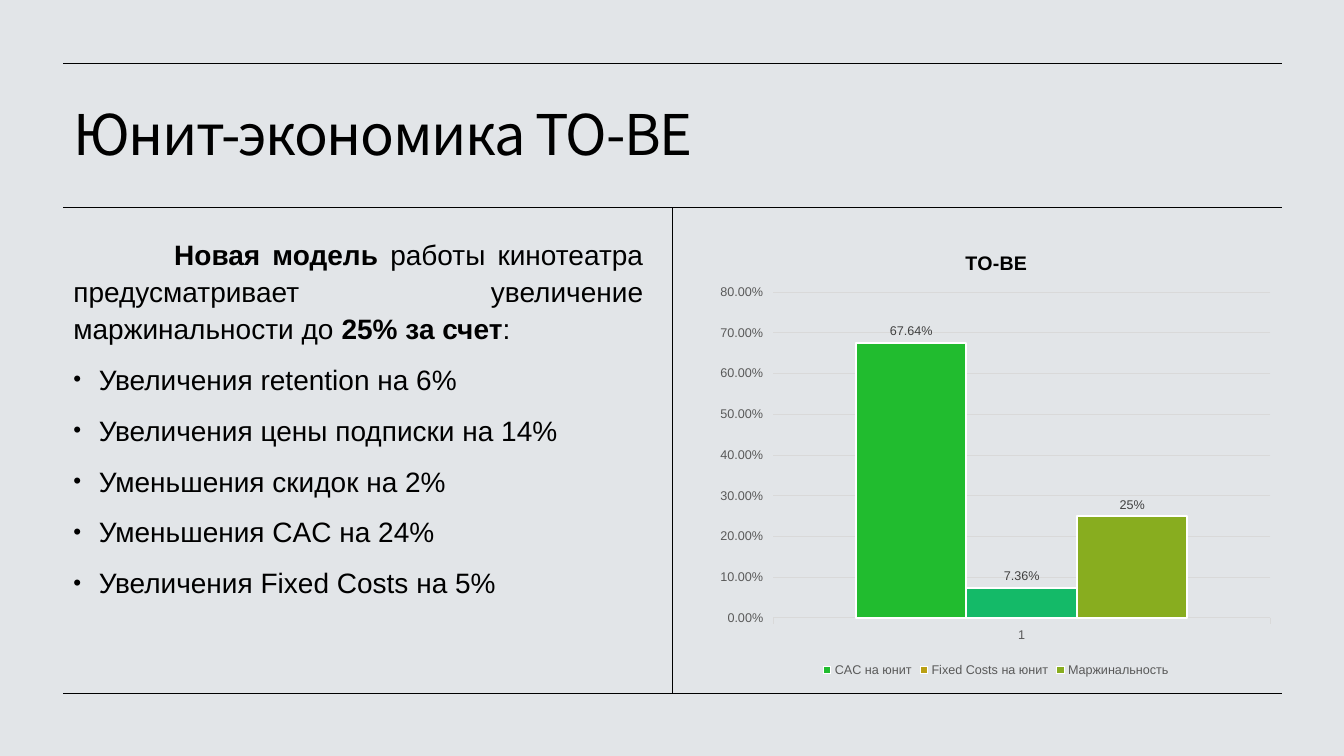
from lxml import etree
from pptx import Presentation
from pptx.chart.data import CategoryChartData
from pptx.dml.color import RGBColor
from pptx.enum.chart import XL_CHART_TYPE, XL_LABEL_POSITION, XL_LEGEND_POSITION, XL_TICK_MARK
from pptx.enum.shapes import MSO_CONNECTOR
from pptx.enum.text import MSO_ANCHOR, PP_ALIGN
from pptx.oxml.ns import qn
from pptx.util import Cm, Pt

COLUMNS = XL_CHART_TYPE.COLUMN_CLUSTERED
OUTSIDE_END = XL_LABEL_POSITION.OUTSIDE_END
BOTTOM = XL_LEGEND_POSITION.BOTTOM
TICK_OUT = XL_TICK_MARK.OUTSIDE
STRAIGHT = MSO_CONNECTOR.STRAIGHT
MIDDLE = MSO_ANCHOR.MIDDLE
LEFT, JUSTIFY = PP_ALIGN.LEFT, PP_ALIGN.JUSTIFY

COLORS = {
    "background": "E2E5E8", "text": "000000", "axis": "595959", "label": "404040",
    "grid": "D9D9D9", "edge": "FFFFFF", "cac": "21BC2F", "costs": "BAA014",
    "costs_column": "14BA68", "margin": "88AD1F",
}
HEAD_FONT, BODY_FONT = "Noto Sans CJK KR", "Arial"
INTRO = [
    ("Новая модель ", True),
    ("работы кинотеатра предусматривает увеличение маржинальности до ", False),
    ("25% за счет", True),
    (":", False),
]
MEASURES = [
    "Увеличения retention на 6%",
    "Увеличения цены подписки на 14%",
    "Уменьшения скидок на 2%",
    "Уменьшения CAC на 24%",
    "Увеличения Fixed Costs на 5%",
]
SERIES = [
    ("CAC на юнит", 0.6764, "cac", "cac", "0.00%"),
    ("Fixed Costs на юнит", 0.0736, "costs", "costs_column", "0.00%"),
    ("Маржинальность", 0.25, "margin", "margin", "0%"),
]


def rgb(name):
    """Return the named colour."""
    return RGBColor.from_string(COLORS[name])


def set_font(font, size, color="text", name=BODY_FONT, bold=False):
    """Format a font."""
    font.size, font.name, font.bold = Pt(size), name, bold
    font.color.rgb = rgb(color)


def add_rules(slide, left, top, right, bottom, header, middle):
    """Draw the frame lines and the divider between the columns."""
    ends = [(left, y, right, y) for y in (top, header, bottom)]
    for x1, y1, x2, y2 in ends + [(middle, header, middle, bottom)]:
        line = slide.shapes.add_connector(STRAIGHT, Cm(x1), Cm(y1), Cm(x2), Cm(y2))
        line.line.color.rgb = rgb("text")
        line.line.width = Pt(0.5)
        etree.SubElement(line._element.spPr, qn("a:effectLst"))


def add_title(slide, left, top, width, height):
    """Place and format the slide title."""
    sp = slide.shapes.title
    sp.left, sp.top, sp.width, sp.height = Cm(left), Cm(top), Cm(width), Cm(height)
    tf = sp.text_frame
    tf.word_wrap, tf.vertical_anchor = True, MIDDLE
    p = tf.paragraphs[0]
    p.alignment, p.line_spacing = LEFT, 0.9
    r = p.add_run()
    r.text = "Юнит-экономика TO-BE"
    set_font(r.font, 40, name=HEAD_FONT)
    r.font._element.set("spc", "-100")


def add_paragraph(p, runs, margin, indent):
    """Fill a justified paragraph and return its properties."""
    p.alignment, p.line_spacing, p.space_before = JUSTIFY, 1.1, Pt(10)
    for text, bold in runs:
        r = p.add_run()
        r.text = text
        set_font(r.font, 20, bold=bold)
    pPr = p._p.get_or_add_pPr()
    pPr.set("marL", str(Cm(margin)))
    pPr.set("indent", str(Cm(indent)))
    return pPr


def add_body(slide, left, top, width, height):
    """Write the introduction and the bulleted measures."""
    tf = slide.shapes.add_textbox(Cm(left), Cm(top), Cm(width), Cm(height)).text_frame
    tf.word_wrap = True
    add_paragraph(tf.paragraphs[0], INTRO, 0, 2.54)
    for measure in MEASURES:
        pPr = add_paragraph(tf.add_paragraph(), [(measure, False)], 0.64, -0.64)
        etree.SubElement(pPr, qn("a:buSzPct"), val="80000")
        etree.SubElement(pPr, qn("a:buFont"), typeface=BODY_FONT)
        etree.SubElement(pPr, qn("a:buChar"), char="•")


def set_layout(parent, index, **fractions):
    """Fix the place of a chart part as fractions of the chart."""
    for old in parent.findall(qn("c:layout")):
        parent.remove(old)
    layout = etree.Element(qn("c:layout"))
    manual = etree.SubElement(layout, qn("c:manualLayout"))
    if "w" in fractions:
        etree.SubElement(manual, qn("c:layoutTarget"), val="inner")
    for key in "xy":
        etree.SubElement(manual, qn(f"c:{key}Mode"), val="edge")
    for key, value in fractions.items():
        etree.SubElement(manual, qn(f"c:{key}"), val=str(value))
    parent.insert(index, layout)


def paint(fmt, color):
    """Fill a column and outline it."""
    fmt.fill.solid()
    fmt.fill.fore_color.rgb = rgb(color)
    fmt.line.color.rgb = rgb("edge")
    fmt.line.width = Pt(1.5)


def format_axes(chart):
    """Style both axes and the gridlines."""
    cat, val = chart.category_axis, chart.value_axis
    for axis in (cat, val):
        axis.major_tick_mark = TICK_OUT
        set_font(axis.tick_labels.font, 9, "axis")
    val.minimum_scale, val.maximum_scale, val.major_unit = 0, 0.8, 0.1
    val.tick_labels.number_format = "0.00%"
    val.tick_labels.number_format_is_linked = False
    val.format.line.fill.background()
    for line in (cat.format.line, val.major_gridlines.format.line):
        line.color.rgb = rgb("grid")
        line.width = Pt(0.75)


def add_economics_chart(slide, left, top, width, height):
    """Add the column chart of unit economics."""
    data = CategoryChartData()
    data.categories = ["1"]
    for name, value, *_ in SERIES:
        data.add_series(name, [value])
    chart = slide.shapes.add_chart(COLUMNS, Cm(left), Cm(top), Cm(width), Cm(height), data).chart
    set_font(chart.font, 10)
    title = chart.chart_title
    r = title.text_frame.paragraphs[0].add_run()
    r.text = "TO-BE"
    set_font(r.font, 14, bold=True)
    set_layout(title._element, 1, x=0.44, y=0.04)
    set_layout(chart._chartSpace.chart.plotArea, 0, x=0.11, y=0.14, w=0.87, h=0.72)
    format_axes(chart)
    chart.has_legend = True
    chart.legend.position = BOTTOM
    chart.legend.include_in_layout = False
    set_font(chart.legend.font, 9, "axis")
    plot = chart.plots[0]
    plot.gap_width, plot.overlap, plot.vary_by_categories = 150, 0, False
    for series, (_, _, color, column, number_format) in zip(plot.series, SERIES):
        paint(series.format, color)
        if column != color:
            paint(series.points[0].format, column)
        labels = series.data_labels
        labels.show_value, labels.position = True, OUTSIDE_END
        labels.number_format, labels.number_format_is_linked = number_format, False
        set_font(labels.font, 9, "label")


def main():
    """Build and save the slide."""
    prs = Presentation()
    prs.slide_width, prs.slide_height = Cm(33.87), Cm(19.05)
    slide = prs.slides.add_slide(prs.slide_layouts[5])
    slide.background.fill.solid()
    slide.background.fill.fore_color.rgb = rgb("background")
    add_rules(slide, 1.6, 1.59, 32.32, 17.46, 5.23, 16.94)
    add_title(slide, 1.59, 1.98, 30.68, 2.95)
    add_body(slide, 1.6, 5.77, 14.86, 11.4)
    add_economics_chart(slide, 17.9, 5.77, 14.4, 11.4)
    prs.save("out.pptx")


if __name__ == "__main__":
    main()
